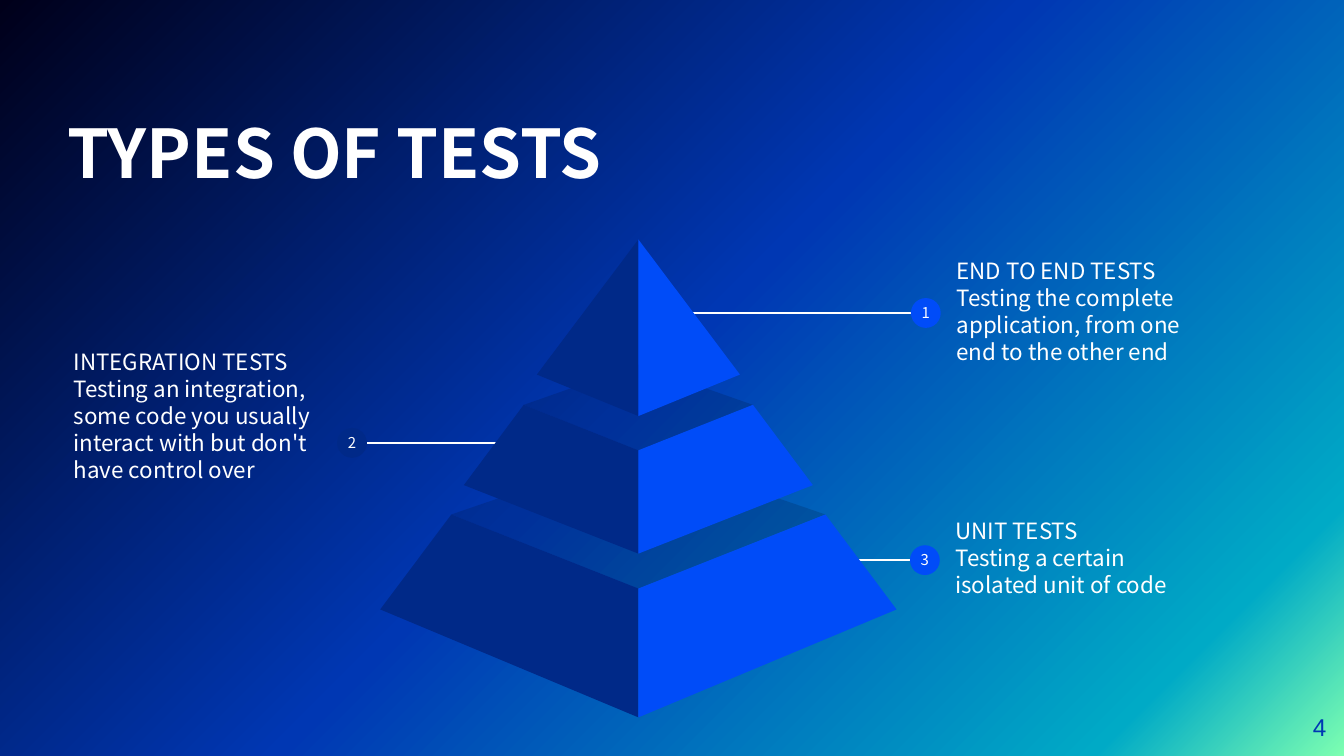
from lxml.etree import SubElement
from pptx import Presentation
from pptx.dml.color import RGBColor
from pptx.enum.shapes import MSO_CONNECTOR, MSO_SHAPE
from pptx.enum.text import MSO_ANCHOR, MSO_AUTO_SIZE, PP_ALIGN
from pptx.oxml.ns import qn
from pptx.util import Pt

FONT = "Noto Sans CJK JP"
WHITE, NAVY, BRIGHT, ROYAL, SHADE = "FFFFFF", "002988", "004CF8", "0037B3", "001230"
GRADIENT = [(0, "7DFFB1"), (12, "00AAC6"), (51, ROYAL), (100, "00001A")]


def color(code):
    return RGBColor.from_string(code)


def set_values(target, values):
    for name, value in values.items():
        setattr(target, name, value)


def points(*lengths):
    return [Pt(length) for length in lengths]


def write(box, lines, size, code=WHITE, font=FONT, bold=False, inset=(0, 0),
          frame_format=None, para_format=None):
    """Fill a box with one formatted paragraph per line; inset is (side, top)."""
    side, top = points(*inset)
    frame = box.text_frame
    set_values(frame, {"word_wrap": True, "auto_size": MSO_AUTO_SIZE.NONE,
                       "margin_left": side, "margin_right": side,
                       "margin_top": top, "margin_bottom": top, **(frame_format or {})})
    for index, line in enumerate(lines):
        para = frame.paragraphs[0] if index == 0 else frame.add_paragraph()
        set_values(para, {"alignment": PP_ALIGN.LEFT, **(para_format or {})})
        span = para.add_run()
        span.text = line
        set_values(span.font, {"name": font, "size": Pt(size), "bold": bold})
        span.font.color.rgb = color(code)


def paint_background(page):
    fill = page.background.fill
    fill.gradient()
    fill.gradient_angle = 135
    stops = page.element.find(".//" + qn("a:gsLst"))
    for stop in list(stops):
        stops.remove(stop)
    for position, code in GRADIENT:
        stop = SubElement(stops, qn("a:gs"), pos=str(position * 1000))
        SubElement(stop, qn("a:srgbClr"), val=code)


def add_title(page, box, text):
    title = page.shapes.title
    set_values(title, dict(zip(("left", "top", "width", "height"), points(*box))))
    write(title, [text], 36, bold=True, frame_format={"vertical_anchor": MSO_ANCHOR.BOTTOM})


def add_page_number(page, box, number):
    write(page.shapes.add_textbox(*points(*box)), [number], 13, ROYAL, "Arial",
          frame_format={"vertical_anchor": MSO_ANCHOR.MIDDLE},
          para_format={"alignment": PP_ALIGN.RIGHT})


def add_callout(page, box, number, lines, badge, line_end, code,
                anchor=MSO_ANCHOR.MIDDLE, top_inset=7.2):
    """Text in box; badge is the offset of its centre, line_end the x offset of the leader."""
    left, top, width, height = box
    center_x, center_y = left + badge[0], top + badge[1]
    shapes = page.shapes.add_group_shape().shapes

    # Leader line
    leader = shapes.add_connector(MSO_CONNECTOR.STRAIGHT,
                                  *points(center_x, center_y, left + line_end, center_y))
    leader.line.color.rgb = color(WHITE)
    leader.line.width = Pt(0.75)
    SubElement(leader.element.spPr, qn("a:effectLst"))

    # Description
    write(shapes.add_textbox(*points(left, top, width, height)), lines, 12,
          inset=(7.2, top_inset), frame_format={"vertical_anchor": anchor},
          para_format={"line_spacing": Pt(14.5)})

    # Numbered badge
    disc = shapes.add_shape(MSO_SHAPE.OVAL, *points(center_x - 8, center_y - 8, 16, 16))
    disc.shadow.inherit = False
    disc.fill.solid()
    disc.fill.fore_color.rgb = color(code)
    disc.line.fill.background()
    label = shapes.add_textbox(*points(center_x - 9.8, center_y - 12.4, 19.6, 24.5))
    write(label, [number], 8, inset=(0, 7.2),
          para_format={"alignment": PP_ALIGN.CENTER, "line_spacing": Pt(9.7)})


def add_face(shapes, corners, code, alpha=None):
    start, *others = [tuple(points(*corner)) for corner in corners]
    builder = shapes.build_freeform(*start)
    builder.add_line_segments(others, close=True)
    face = builder.convert_to_shape()
    face.shadow.inherit = False
    face.fill.solid()
    face.fill.fore_color.rgb = color(code)
    face.line.fill.background()
    if alpha is not None:
        tint = face.element.spPr.find(".//" + qn("a:srgbClr"))
        SubElement(tint, qn("a:alpha"), val=str(alpha * 1000))


def add_pyramid(page, box, tiers):
    """Each tier: back y, then (half width, side y, middle y) of its top and base edges."""
    left, top, width, _ = box
    middle = left + width / 2
    shapes = page.shapes.add_group_shape().shapes
    for back, (top_half, top_side, top_mid), (base_half, base_side, base_mid) in tiers:
        if top_half:
            add_face(shapes, [(middle - top_half, top + top_side), (middle, top + top_mid),
                              (middle + top_half, top + top_side), (middle, top + back)],
                     SHADE, 19)
        for side, code in ((-1, NAVY), (1, BRIGHT)):
            corners = [(middle, top + top_mid), (middle + side * base_half, top + base_side),
                       (middle, top + base_mid)]
            if top_half:
                corners.insert(1, (middle + side * top_half, top + top_side))
            add_face(shapes, corners, code)


deck = Presentation()
deck.slide_width, deck.slide_height = points(720, 405)
page = deck.slides.add_slide(deck.slide_layouts[5])
paint_background(page)
add_title(page, (36, 34.6, 474.5, 68), "TYPES OF TESTS")
add_page_number(page, (667.4, 373.7, 43.2, 31), "4")

add_callout(page, (504.7, 244.1, 146.9, 108.7), "3",
            ["UNIT TESTS", "Testing a certain isolated unit of code"],
            badge=(-9.2, 56), line_end=-47.5, code=BRIGHT)
add_callout(page, (32.4, 182.9, 146.9, 108.7), "2",
            ["INTEGRATION TESTS", "Testing an integration, some code you usually "
             "interact with but don't have control over"],
            badge=(156.2, 54.4), line_end=235.4, code=NAVY,
            anchor=MSO_ANCHOR.TOP, top_inset=3.6)
add_callout(page, (505.4, 112.3, 146.9, 108.7), "1",
            ["END TO END TESTS", "Testing the complete application, from one end to the other end"],
            badge=(-9.4, 55.4), line_end=-136.8, code=BRIGHT)

add_pyramid(page, (203.7, 128.3, 276.6, 256), [
    (113, (100.2, 147.3, 187), (138.3, 198.2, 256)),
    (67, (61.4, 88.6, 113), (93.5, 131.6, 168.3)),
    (0, (0, 0, 0), (54.4, 72.4, 94.6)),
])
deck.save("out.pptx")
